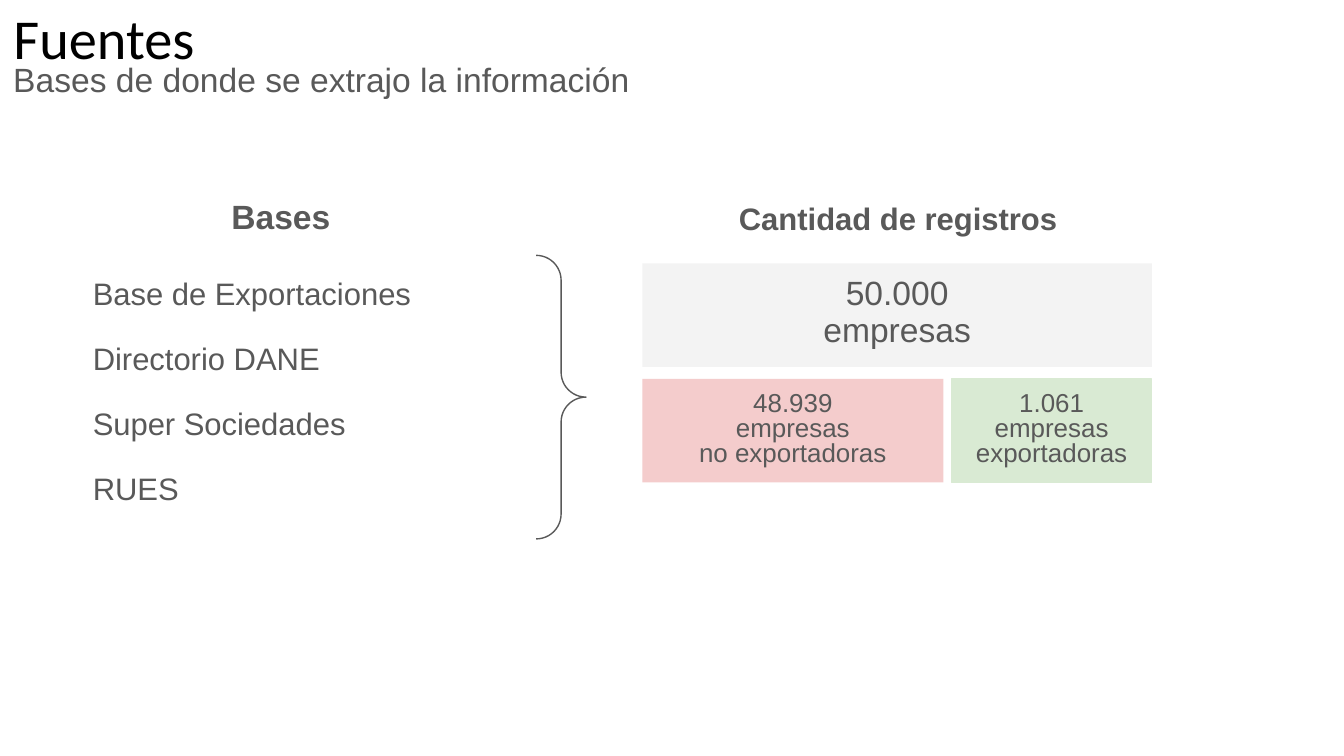
"""Builds the slide on data sources and record counts."""
from pptx import Presentation, util as u
from pptx.dml.color import RGBColor
from pptx.enum import shapes, text
from pptx.oxml.ns import qn
from lxml import etree

GREY = "595959"
CENTER, LEFT = text.PP_ALIGN.CENTER, text.PP_ALIGN.LEFT

TITLE = ["Fuentes"]
SUBTITLE = ["Bases de donde se extrajo la información"]
BASES_HEADING = ["Bases"]
BASES = ["Base de Exportaciones", "Directorio DANE", "Super Sociedades", "RUES"]
RECORDS_HEADING = ["Cantidad de registros"]
TOTAL = ["50.000", "empresas"]
PARTS = [
    (["48.939", "empresas", "no exportadoras"], 2.24, "F4CCCC", None),
    (["1.061", "empresas", "exportadoras"], 1.49, "D9EAD3", "D9EAD3"),
]

SLIDE_WIDTH = 10
SLIDE_HEIGHT = SLIDE_WIDTH * 9 / 16
CARD_LEFT, CARD_TOP, CARD_HEIGHT = 4.78, 1.96, 0.77
COLUMN_GAP, ROW_GAP = 0.06, 0.09
LIST_TOP, LIST_HEIGHT = 1.9, 2.11


def color(value):
    return RGBColor.from_string(value)


def place(shape, left, top, width, height):
    for name, value in zip(("left", "top", "width", "height"), (left, top, width, height)):
        setattr(shape, name, u.Inches(value))


def write(shape, lines, size, ink=GREY, face="Arial", bold=False, align=LEFT,
          spacing=1.0, before=0, after=0):
    frame = shape.text_frame
    frame.text = "\n".join(lines)
    frame_format = {"word_wrap": True, "auto_size": text.MSO_AUTO_SIZE.NONE,
                    "vertical_anchor": text.MSO_ANCHOR.TOP}
    for side in ("left", "top", "right", "bottom"):
        frame_format["margin_" + side] = u.Inches(0.1)
    for name, value in frame_format.items():
        setattr(frame, name, value)
    last = len(lines) - 1
    for index, paragraph in enumerate(frame.paragraphs):
        paragraph_format = {"alignment": align, "line_spacing": spacing,
                            "space_before": u.Pt(before if index else 0),
                            "space_after": u.Pt(after if index == last else 0)}
        for name, value in paragraph_format.items():
            setattr(paragraph, name, value)
        properties = paragraph._p.get_or_add_pPr()
        properties.set("marL", "0")
        properties.set("indent", "0")
        etree.SubElement(properties, qn("a:buNone"))
        font = paragraph.runs[0].font
        for name, value in {"name": face, "size": u.Pt(size), "bold": bold}.items():
            setattr(font, name, value)
        font.color.rgb = color(ink)


def outline(shape, ink):
    if ink is None:
        shape.line.fill.background()
    else:
        shape.line.color.rgb = color(ink)
        shape.line.width = u.Pt(0.75)


def add_card(slide, lines, left, top, width, fill, size, spacing, edge=None):
    card = slide.shapes.add_shape(
        shapes.MSO_SHAPE.RECTANGLE,
        *map(u.Inches, (left, top, width, CARD_HEIGHT)))
    card.shadow.inherit = False
    card.fill.solid()
    card.fill.fore_color.rgb = color(fill)
    outline(card, edge)
    write(card, lines, size, align=CENTER, spacing=spacing)


def main():
    presentation = Presentation()
    presentation.slide_width = u.Inches(SLIDE_WIDTH)
    presentation.slide_height = u.Inches(SLIDE_HEIGHT)
    slide = presentation.slides.add_slide(presentation.slide_layouts.get_by_name("Comparison"))
    holders = {holder.placeholder_format.idx: holder for holder in slide.placeholders}
    for index in set(holders) - {0, 1, 2, 3}:
        holders[index].element.getparent().remove(holders[index].element)

    subtitle = slide.shapes.add_textbox(0, 0, 0, 0)
    heading = {"bold": True, "align": CENTER, "spacing": 1.15, "after": 12}
    blocks = [
        (holders[0], (0, -0.08, 9.32, 0.63), TITLE, 30.2, {"ink": "000000", "face": "Calibri"}),
        (subtitle, (0, 0.34, 9.32, 0.63), SUBTITLE, 18, {}),
        (holders[1], (0.78, 1.31, 2.62, 0.51), BASES_HEADING, 18, heading),
        (holders[2], (0.59, LIST_TOP, 2.81, LIST_HEIGHT), BASES, 16.6,
         {"spacing": 1.15, "before": 12, "after": 12}),
        (holders[3], (5.37, 1.34, 2.62, 0.51), RECORDS_HEADING, 16.6, heading),
    ]
    for shape, box, lines, size, style in blocks:
        place(shape, *box)
        write(shape, lines, size, **style)

    brace = slide.shapes.add_shape(
        shapes.MSO_SHAPE.RIGHT_BRACE, *map(u.Inches, (3.99, LIST_TOP, 0.37, LIST_HEIGHT)))
    brace.shadow.inherit = False
    brace.adjustments[0] = brace.adjustments[1] = 0.5
    brace.fill.background()
    outline(brace, GREY)

    total_width = sum(part[1] for part in PARTS) + COLUMN_GAP * (len(PARTS) - 1)
    add_card(slide, TOTAL, CARD_LEFT, CARD_TOP, total_width, "F3F3F3", 18, 0.9)
    left = CARD_LEFT
    for lines, width, fill, edge in PARTS:
        add_card(slide, lines, left, CARD_TOP + CARD_HEIGHT + ROW_GAP, width, fill,
                 13.9, 0.8, edge)
        left += width + COLUMN_GAP

    presentation.save("out.pptx")


if __name__ == "__main__":
    main()
